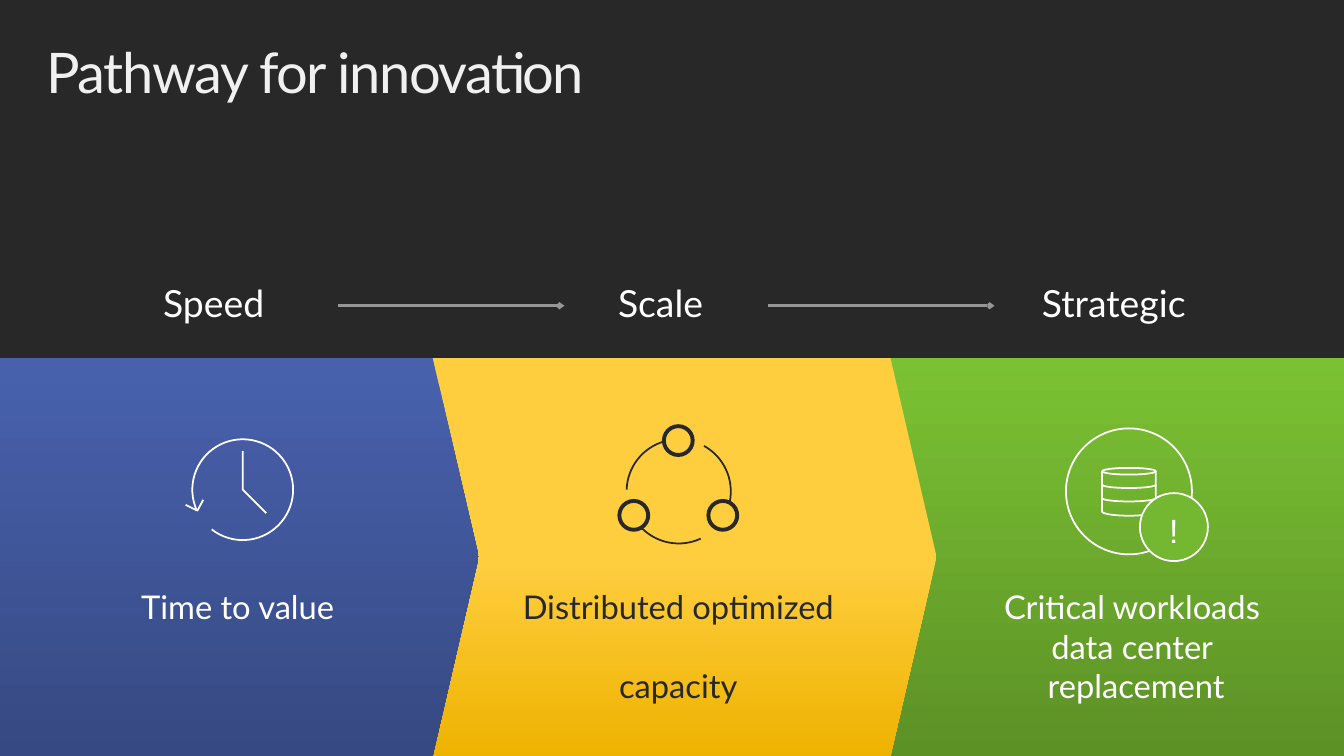
from dataclasses import dataclass
from math import ceil, cos, radians, sin, tan

from lxml import etree
from pptx import Presentation
from pptx import util as u
from pptx.dml.color import RGBColor
from pptx.enum import shapes, text
from pptx.oxml.ns import qn

WHITE, DARK, GREY = "FFFFFF", "282828", "969696"
BAND_TOP, BAND_HEIGHT = 4.26, 4.74
Point = tuple[float, float]
Segment = list[Point]  # one point is a line, three points are a curve
Box = tuple[float, float, float, float]
Shape = shapes.MSO_SHAPE


@dataclass
class Stage:
    """A coloured band of the pathway with its heading and caption."""
    heading: str
    heading_box: Box
    left: float
    width: float
    preset: Shape
    stops: list[tuple[float, str]]
    caption: list[str]
    caption_box: Box
    color: str
    gap: float = 0


@dataclass
class Arc:
    """Part of an ellipse; angles run clockwise from the right."""
    center: Point
    radius_x: float
    radius_y: float
    start: float
    end: float

    def at(self, angle: float, slope: float = 0) -> Point:
        return (self.center[0] + self.radius_x * (cos(angle) - slope * sin(angle)),
                self.center[1] + self.radius_y * (sin(angle) + slope * cos(angle)))

    def first(self) -> Point:
        return self.at(radians(self.start))

    def segments(self) -> list[Segment]:
        count = ceil(abs(self.end - self.start) / 90)
        step = radians(self.end - self.start) / count
        pull = 4 / 3 * tan(step / 4)
        angles = [radians(self.start) + step * i for i in range(count)]
        return [[self.at(a, pull), self.at(a + step, -pull), self.at(a + step)] for a in angles]


STAGES = [
    Stage("Strategic", (10.52, 3.35, 5.48, 0.81), 10.49, 5.53, Shape.RECTANGLE,
          [(0, "7BC233"), (1, "5C9126")], ["Critical workloads \vdata center \vreplacement"],
          (11.18, 6.94, 4.69, 1.79), WHITE),
    Stage("Scale", (5.23, 3.35, 5.27, 0.81), 4.77, 6.38, Shape.PENTAGON,
          [(0.51, "FFCE3F"), (1, "EEB200")], ["Distributed optimized", "capacity"],
          (6.11, 6.94, 3.93, 1.79), DARK, 33.6),
    Stage("Speed", (0.07, 3.35, 4.95, 0.81), 0, 5.7, Shape.PENTAGON,
          [(0.02, "4861AD"), (1, "364982")], ["Time to value"],
          (1.48, 6.94, 2.7, 1.48), WHITE),
]


def inches(value: float) -> u.Length:
    return u.Cm(value * 2.54)


def rgb(value: str) -> RGBColor:
    return RGBColor.from_string(value)


def add_run(paragraph, words: str, size: float, color: str, font: str = "Lato"):
    run = paragraph.add_run()
    run.text = words
    run.font.size, run.font.name = u.Pt(size), font
    run.font.color.rgb = rgb(color)
    return run


def add_label(slide, box: Box, lines: list[str], size: float, color: str,
              spacing: float | None = None, gap: float = 0) -> None:
    frame = slide.shapes.add_textbox(*map(inches, box)).text_frame
    frame.word_wrap = True
    for index, line in enumerate(lines):
        paragraph = frame.add_paragraph() if index else frame.paragraphs[0]
        paragraph.alignment = text.PP_ALIGN.CENTER
        paragraph.line_spacing = spacing
        if index:
            paragraph.space_before = u.Pt(gap)
        for part, words in enumerate(line.split("\v")):
            if part:
                paragraph.add_line_break()
            add_run(paragraph, words, size, color)


def style(shape, fill: str = "", line: str = "") -> None:
    shape.shadow.inherit = False
    if fill:
        shape.fill.solid()
        shape.fill.fore_color.rgb = rgb(fill)
    else:
        shape.fill.background()
    if line:
        shape.line.color.rgb = rgb(line)
        shape.line.width = u.Pt(1.5)
    else:
        shape.line.fill.background()


def add_preset(slide, preset: Shape, box: Box, fill: str = "", line: str = ""):
    shape = slide.shapes.add_shape(preset, *map(inches, box))
    style(shape, fill, line)
    return shape


def add_stroke(slide, start: Point, segments: list[Segment], color: str) -> None:
    builder = slide.shapes.build_freeform(*map(inches, start))
    builder.add_line_segments(
        [(inches(x), inches(y)) for segment in segments for x, y in segment], close=False)
    shape = builder.convert_to_shape()
    # Join each group of three points into one curve
    lines = iter(list(shape._element.iter(qn("a:lnTo"))))
    for segment in segments:
        group = [next(lines) for _ in segment]
        if len(group) == 3:
            group[0].tag = qn("a:cubicBezTo")
            for other in group[1:]:
                group[0].append(other[0])
                other.getparent().remove(other)
    style(shape, line=color)


def add_arc(slide, arc: Arc, color: str) -> None:
    add_stroke(slide, arc.first(), arc.segments(), color)


def add_arrow(slide, left: float, right: float, top: float) -> None:
    arrow = slide.shapes.add_connector(
        shapes.MSO_CONNECTOR.STRAIGHT, *map(inches, (left, top, right, top)))
    arrow.line.color.rgb = rgb(GREY)
    arrow.line.width = u.Pt(2.5)
    etree.SubElement(arrow.line._get_or_add_ln(), qn("a:tailEnd"), type="arrow", w="sm", len="sm")
    etree.SubElement(arrow._element.spPr, qn("a:effectLst"))


def add_stage(slide, stage: Stage) -> None:
    band = add_preset(slide, stage.preset, (stage.left, BAND_TOP, stage.width, BAND_HEIGHT))
    if stage.preset == Shape.PENTAGON:
        band.adjustments[0] = 0.116
    band.fill.gradient()
    band.fill.gradient_angle = 270
    for stop, (position, color) in zip(band.fill.gradient_stops, stage.stops):
        stop.position, stop.color.rgb = position, rgb(color)
    add_label(slide, stage.heading_box, [stage.heading], 32, WHITE, 0.9)
    add_label(slide, stage.caption_box, stage.caption, 28, stage.color, gap=stage.gap)


def add_clock(slide) -> None:
    add_arc(slide, Arc((2.89, 5.83), 0.6, 0.6, 128, -204), WHITE)
    add_stroke(slide, (2.89, 5.37), [[(2.89, 5.83)], [(3.17, 6.11)]], WHITE)
    add_stroke(slide, (2.42, 5.95), [[(2.35, 6.08)], [(2.21, 6.01)]], WHITE)


def add_network(slide) -> None:
    for left, top in ((7.35, 5.94), (7.88, 5.05), (8.41, 5.94)):
        ring = add_preset(slide, Shape.DONUT, (left, top, 0.39, 0.39), DARK)
        ring.adjustments[0] = 0.12
    for start, end in ((65, 135), (-61, 12), (182, 254)):
        add_arc(slide, Arc((8.08, 5.85), 0.62, 0.62, start, end), DARK)


def add_database(slide) -> None:
    add_preset(slide, Shape.OVAL, (13.12, 5.57, 0.64, 0.08), line=WHITE)
    base = Arc((13.44, 6.09), 0.32, 0.05, 0, 180)
    add_stroke(slide, (13.76, 5.61), [[base.first()], *base.segments(), [(13.12, 5.61)]], WHITE)
    for level in (5.77, 5.93):
        add_arc(slide, Arc((13.44, level), 0.32, 0.04, 0, 180), WHITE)
    add_preset(slide, Shape.OVAL, (12.69, 5.1, 1.5, 1.5), line=WHITE)
    alert = add_preset(slide, Shape.OVAL, (13.57, 5.87, 0.81, 0.81), "74B730", WHITE)
    set_frame(alert.text_frame, 0.16, 0.08)
    alert.text_frame.paragraphs[0].alignment = text.PP_ALIGN.CENTER
    add_run(alert.text_frame.paragraphs[0], "!", 28.8, WHITE, "Arial")


def set_frame(frame, side: float, edge: float) -> None:
    frame.margin_left = frame.margin_right = inches(side)
    frame.margin_top = frame.margin_bottom = inches(edge)
    frame.vertical_anchor = text.MSO_ANCHOR.TOP
    frame.auto_size = text.MSO_AUTO_SIZE.NONE


def add_title(slide) -> None:
    title = slide.shapes.title
    title.left, title.top, title.width, title.height = map(inches, (0.35, 0.38, 15.29, 1.18))
    set_frame(title.text_frame, 0.2, 0.16)
    paragraph = title.text_frame.paragraphs[0]
    paragraph.alignment, paragraph.line_spacing = text.PP_ALIGN.LEFT, 0.9
    run = add_run(paragraph, "Pathway for innovation", 48, "F0F0F0")
    run._r.get_or_add_rPr().set("spc", "-120")


def main() -> None:
    presentation = Presentation()
    presentation.slide_width, presentation.slide_height = inches(16), inches(9)
    slide = presentation.slides.add_slide(presentation.slide_layouts[5])
    slide.background.fill.solid()
    slide.background.fill.fore_color.rgb = rgb(DARK)
    add_title(slide)
    # Bands overlap from right to left
    for stage in STAGES:
        add_stage(slide, stage)
    # Arrows between headings
    for left in (4.02, 9.14):
        add_arrow(slide, left, left + 2.7, 3.64)
    # Icons
    for add_icon in (add_clock, add_network, add_database):
        add_icon(slide)
    presentation.save("out.pptx")


if __name__ == "__main__":
    main()
